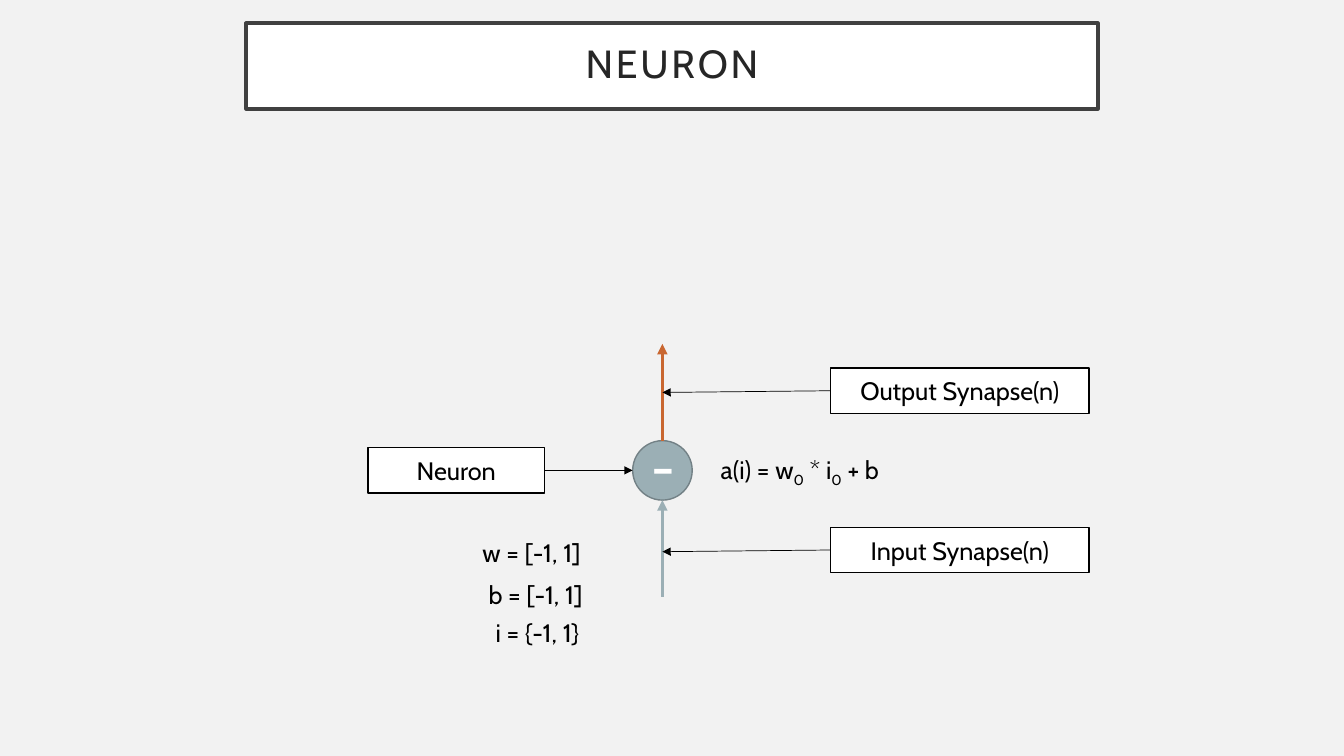
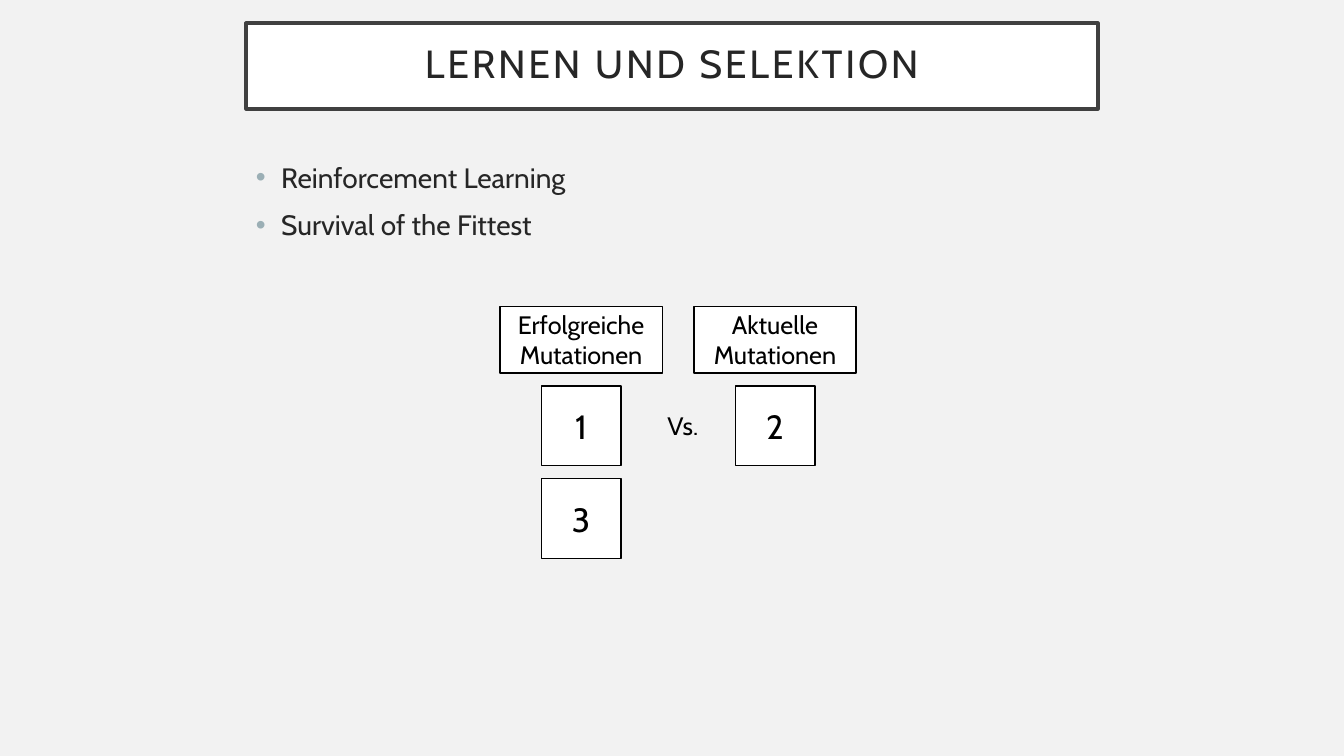
from dataclasses import dataclass
from typing import NamedTuple

from lxml import etree
from pptx import Presentation
from pptx.dml.color import RGBColor
from pptx.enum.shapes import MSO_CONNECTOR, MSO_SHAPE
from pptx.enum.text import MSO_ANCHOR, MSO_AUTO_SIZE, PP_ALIGN
from pptx.oxml.ns import qn
from pptx.util import Inches, Pt

RECTANGLE = MSO_SHAPE.RECTANGLE
OVAL = MSO_SHAPE.OVAL
STRAIGHT = MSO_CONNECTOR.STRAIGHT
CENTER = PP_ALIGN.CENTER
MIDDLE = MSO_ANCHOR.MIDDLE
GROW = MSO_AUTO_SIZE.SHAPE_TO_FIT_TEXT

SLIDE_WIDTH = Inches(13.33)
SLIDE_HEIGHT = Inches(7.5)
GRID_ROWS = 45
CELL = SLIDE_HEIGHT / GRID_ROWS


@dataclass(frozen=True)
class Theme:
    font: str = "Cabin"
    background: str = "F2F2F2"
    white: str = "FFFFFF"
    black: str = "000000"
    ink: str = "262626"
    frame: str = "404040"
    accent: str = "9BAFB5"
    accent_edge: str = "738186"
    output: str = "C96731"
    title_size: int = 28
    body_size: int = 20
    label_size: int = 18
    number_size: int = 24
    sign_size: int = 40
    heavy_line: float = 2.5
    box_line: float = 1
    pointer_line: float = 0.5


THEME = Theme()


class Area(NamedTuple):
    col: float
    row: float
    cols: float
    rows: float

    @classmethod
    def around(cls, col: float, row: float, cols: float, rows: float) -> "Area":
        return cls(col - cols / 2, row - rows / 2, cols, rows)


class Point(NamedTuple):
    col: float
    row: float


class Piece(NamedTuple):
    text: str
    subscript: bool = False


class Look(NamedTuple):
    fill: str = THEME.white
    line: str = THEME.black
    weight: float = THEME.box_line
    color: str = THEME.black
    size: int = THEME.label_size


class Synapse(NamedTuple):
    label: str
    offset: float


class Domain(NamedTuple):
    text: str
    row: float
    cols: float


class Candidates(NamedTuple):
    heading: str
    col: float
    numbers: tuple[str, ...]


TITLE_AREA = Area(14.64, 1.38, 50.7, 5.1)
TITLE_LOOK = Look(line=THEME.frame, weight=THEME.heavy_line,
                  color=THEME.ink, size=THEME.title_size)
NUMBER_LOOK = Look(size=THEME.number_size)
NEURON_LOOK = Look(THEME.accent, THEME.accent_edge, THEME.box_line,
                   THEME.white, THEME.sign_size)
LABEL_ROWS = 2.7
TEXT_ROWS = 2.4

NEURON = Point(39.42, 28)
NEURON_SIZE = 3.54
SYNAPSE_LENGTH = 5.76
SYNAPSE_LABEL_COL = 49.44
SYNAPSES = (Synapse("Output Synapse(n)", -4.74), Synapse("Input Synapse(n)", 4.74))
NEURON_LABEL = Area(21.9, NEURON.row - LABEL_ROWS / 2, 10.5, LABEL_ROWS)
DOMAIN_RIGHT = 35.8
DOMAINS = (
    Domain("w = [-1, 1]", 31.68, 7.68),
    Domain("b = [-1, 1]", 34.2, 7.32),
    Domain("i = {-1, 1}", 36.48, 6.9),
)
FORMULA = (Piece("a(i) = w"), Piece("0", True), Piece(" * i"),
           Piece("0", True), Piece(" + b"))

BULLET_AREA = Area(14.64, 9.24, 50.7, 6.24)
BULLETS = ("Reinforcement Learning", "Survival of the Fittest")
HEADING_ROW = 20.22
FIRST_NUMBER_ROW = 25.35
NUMBER_PITCH = 5.52
NUMBER_SIZE = 4.74
GROUPS = (
    Candidates("Erfolgreiche Mutationen", 34.58, ("1", "3")),
    Candidates("Aktuelle Mutationen", 46.12, ("2",)),
)


def emu(cells: float) -> int:
    return round(cells * CELL)


def rgb(code: str) -> RGBColor:
    return RGBColor.from_string(code)


def add_run(paragraph, text: str, size: int, color: str):
    run = paragraph.add_run()
    run.text = text
    run.font.name = THEME.font
    run.font.size = Pt(size)
    run.font.color.rgb = rgb(color)
    return run


def add_box(slide, area: Area, text: str, look: Look = Look(), preset=RECTANGLE):
    box = slide.shapes.add_shape(preset, *map(emu, area))
    box.shadow.inherit = False
    box.fill.solid()
    box.fill.fore_color.rgb = rgb(look.fill)
    box.line.color.rgb = rgb(look.line)
    box.line.width = Pt(look.weight)
    frame = box.text_frame
    frame.word_wrap = True
    frame.vertical_anchor = MIDDLE
    paragraph = frame.paragraphs[0]
    paragraph.alignment = CENTER
    add_run(paragraph, text, look.size, look.color)
    return box


def add_arrow(slide, start: Point, end: Point, color: str, weight: float) -> None:
    arrow = slide.shapes.add_connector(STRAIGHT, *map(emu, (*start, *end)))
    arrow.line.color.rgb = rgb(color)
    arrow.line.width = Pt(weight)
    tip = etree.SubElement(arrow.line._get_or_add_ln(), qn("a:tailEnd"))
    tip.set("type", "triangle")
    etree.SubElement(arrow._element.spPr, qn("a:effectLst"))


def add_pointer(slide, start: Point, end: Point) -> None:
    add_arrow(slide, start, end, THEME.black, THEME.pointer_line)


def add_text(slide, area: Area, pieces: tuple[Piece, ...]) -> None:
    frame = slide.shapes.add_textbox(*map(emu, area)).text_frame
    frame.word_wrap = False
    frame.auto_size = GROW
    for piece in pieces:
        run = add_run(frame.paragraphs[0], piece.text, THEME.label_size, THEME.black)
        if piece.subscript:
            run.font._element.set("baseline", "-25000")


def add_bullets(slide, area: Area, lines: tuple[str, ...]) -> None:
    frame = slide.shapes.add_textbox(*map(emu, area)).text_frame
    frame.word_wrap = True
    for index, line in enumerate(lines):
        paragraph = frame.add_paragraph() if index else frame.paragraphs[0]
        paragraph.space_before = Pt(10)
        add_run(paragraph, line, THEME.body_size, THEME.ink)
        properties = paragraph._p.get_or_add_pPr()
        properties.set("marL", str(Inches(0.25)))
        properties.set("indent", str(-Inches(0.25)))
        tint = etree.SubElement(properties, qn("a:buClr"))
        etree.SubElement(tint, qn("a:srgbClr")).set("val", THEME.accent)
        etree.SubElement(properties, qn("a:buFont")).set("typeface", "Arial")
        etree.SubElement(properties, qn("a:buChar")).set("char", "•")


def add_titled_slide(deck, title: str):
    slide = deck.slides.add_slide(deck.slide_layouts[6])
    slide.background.fill.solid()
    slide.background.fill.fore_color.rgb = rgb(THEME.background)
    frame = add_box(slide, TITLE_AREA, title, TITLE_LOOK).text_frame
    frame.margin_left = frame.margin_right = Inches(0.2)
    frame.margin_top = frame.margin_bottom = Inches(0.2)
    paragraph = frame.paragraphs[0]
    paragraph.line_spacing = 0.9
    paragraph.runs[0].font._element.set("spc", "200")
    return slide


def build_neuron(deck) -> None:
    slide = add_titled_slide(deck, "NEURON")
    radius = NEURON_SIZE / 2
    body = add_box(slide, Area.around(*NEURON, NEURON_SIZE, NEURON_SIZE),
                   "-", NEURON_LOOK, OVAL)
    body.text_frame.margin_top = 0
    body.text_frame.margin_bottom = Inches(0.1)

    bottom = NEURON.row + radius
    top = NEURON.row - radius
    add_arrow(slide, Point(NEURON.col, bottom + SYNAPSE_LENGTH),
              Point(NEURON.col, bottom), THEME.accent, THEME.heavy_line)
    add_arrow(slide, Point(NEURON.col, top),
              Point(NEURON.col, top - SYNAPSE_LENGTH), THEME.output, THEME.heavy_line)

    for synapse in SYNAPSES:
        row = NEURON.row + synapse.offset
        add_box(slide, Area(SYNAPSE_LABEL_COL, row - LABEL_ROWS / 2, 15.36, LABEL_ROWS),
                synapse.label)
        add_pointer(slide, Point(SYNAPSE_LABEL_COL, row), Point(NEURON.col, row + 0.1))

    add_box(slide, NEURON_LABEL, "Neuron")
    add_pointer(slide, Point(NEURON_LABEL.col + NEURON_LABEL.cols, NEURON.row),
                Point(NEURON.col - radius, NEURON.row))

    add_text(slide, Area(42.3, 26.76, 11.28, TEXT_ROWS), FORMULA)
    for domain in DOMAINS:
        add_text(slide, Area(DOMAIN_RIGHT - domain.cols, domain.row,
                             domain.cols, TEXT_ROWS), (Piece(domain.text),))


def build_selection(deck) -> None:
    slide = add_titled_slide(deck, "LERNEN UND SELEKTION")
    add_bullets(slide, BULLET_AREA, BULLETS)
    for group in GROUPS:
        add_box(slide, Area.around(group.col, HEADING_ROW, 9.66, 3.96), group.heading)
        for index, number in enumerate(group.numbers):
            row = FIRST_NUMBER_ROW + index * NUMBER_PITCH
            add_box(slide, Area.around(group.col, row, NUMBER_SIZE, NUMBER_SIZE),
                    number, NUMBER_LOOK)
    add_text(slide, Area(39.12, 24.12, 3.06, TEXT_ROWS), (Piece("Vs."),))


def main() -> None:
    deck = Presentation()
    deck.slide_width = SLIDE_WIDTH
    deck.slide_height = SLIDE_HEIGHT
    build_neuron(deck)
    build_selection(deck)
    deck.save("out.pptx")


if __name__ == "__main__":
    main()
